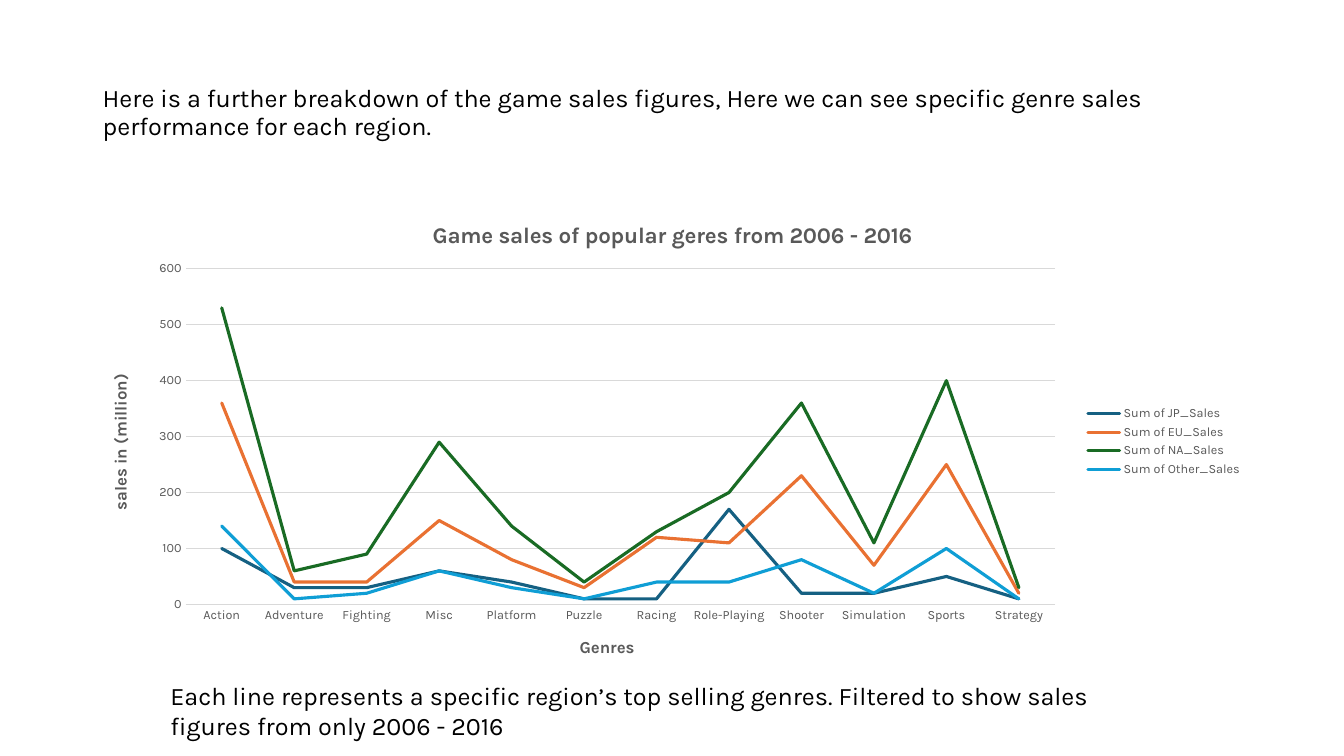
from dataclasses import dataclass

from lxml import etree
from pptx import Presentation
from pptx import util as u
from pptx.chart import data
from pptx.dml import color
from pptx.enum import chart as ec
from pptx.enum import text as et
from pptx.oxml import ns


@dataclass(frozen=True)
class Theme:
    font: str = "Karla"
    ink: str = "000000"
    gray: str = "595959"
    rule: str = "D9D9D9"
    body: float = 18
    title: float = 16
    axis: float = 12
    label: float = 9
    thin: float = 0.75
    thick: float = 2.25


@dataclass(frozen=True)
class Box:
    left: float
    top: float
    width: float
    height: float

    def emu(self) -> list:
        return [u.Inches(n) for n in (self.left, self.top, self.width, self.height)]


@dataclass(frozen=True)
class Region:
    name: str
    hue: str
    sales: tuple


THEME = Theme()
GENRES = ("Action", "Adventure", "Fighting", "Misc", "Platform", "Puzzle",
          "Racing", "Role-Playing", "Shooter", "Simulation", "Sports", "Strategy")
REGIONS = (
    Region("JP", "156082", (100, 30, 30, 60, 40, 10, 10, 170, 20, 20, 50, 10)),
    Region("EU", "E97132", (360, 40, 40, 150, 80, 30, 120, 110, 230, 70, 250, 20)),
    Region("NA", "196B24", (530, 60, 90, 290, 140, 40, 130, 200, 360, 110, 400, 30)),
    Region("Other", "0F9ED5", (140, 10, 20, 60, 30, 10, 40, 40, 80, 20, 100, 10)),
)
PLOT = {"x": 0.08, "y": 0.14, "w": 0.75, "h": 0.7}


def style(font, size: float, hue: str, bold: bool = False) -> None:
    font.name = THEME.font
    font.size = u.Pt(size)
    font.bold = bold
    font.color.rgb = color.RGBColor.from_string(hue)


def write(frame, words: str, *, size: float, hue: str, bold: bool = False,
          space: float | None = None) -> None:
    par = frame.paragraphs[0]
    par.line_spacing = space
    run = par.add_run()
    run.text = words
    style(run.font, size, hue, bold)


def stroke(line, hue: str, width: float) -> None:
    line.color.rgb = color.RGBColor.from_string(hue)
    line.width = u.Pt(width)


def note(slide, box: Box, words: str, anchor, space: float | None = None) -> None:
    frame = slide.shapes.add_textbox(*box.emu()).text_frame
    frame.word_wrap = True
    frame.vertical_anchor = anchor
    write(frame, words, size=THEME.body, hue=THEME.ink, space=space)


def place(chart) -> None:
    """Fix the inner plot area as fractions of the chart."""
    area = chart._chartSpace.find(".//" + ns.qn("c:plotArea"))
    for old in area.findall(ns.qn("c:layout")):
        area.remove(old)
    layout = etree.Element(ns.qn("c:layout"))
    area.insert(0, layout)
    manual = etree.SubElement(layout, ns.qn("c:manualLayout"))
    parts = {"layoutTarget": "inner", "xMode": "edge", "yMode": "edge", **PLOT}
    for key, val in parts.items():
        etree.SubElement(manual, ns.qn("c:" + key)).set("val", str(val))


def label(axis, words: str) -> None:
    write(axis.axis_title.text_frame, words, size=THEME.axis, hue=THEME.gray, bold=True)
    style(axis.tick_labels.font, THEME.label, THEME.gray)
    axis.major_tick_mark = axis.minor_tick_mark = ec.XL_TICK_MARK.NONE


def graph(slide, box: Box) -> None:
    table = data.CategoryChartData()
    table.categories = GENRES
    for reg in REGIONS:
        table.add_series(f"Sum of {reg.name}_Sales", reg.sales)
    chart = slide.shapes.add_chart(ec.XL_CHART_TYPE.LINE, *box.emu(), table).chart
    style(chart.font, THEME.label, THEME.gray)
    write(chart.chart_title.text_frame, "Game sales of popular geres from 2006 - 2016",
          size=THEME.title, hue=THEME.gray, bold=True)
    place(chart)

    # Axes and grid
    label(chart.category_axis, "Genres")
    stroke(chart.category_axis.format.line, THEME.rule, THEME.thin)
    scale = chart.value_axis
    label(scale, "sales in (million)")
    scale.minimum_scale, scale.maximum_scale, scale.major_unit = 0, 600, 100
    scale.format.line.fill.background()
    stroke(scale.major_gridlines.format.line, THEME.rule, THEME.thin)

    # Legend
    chart.has_legend = True
    chart.legend.position = ec.XL_LEGEND_POSITION.RIGHT
    chart.legend.include_in_layout = False
    style(chart.legend.font, THEME.label, THEME.gray)

    # Lines
    plot = chart.plots[0]
    plot.vary_by_categories = False
    for row, reg in zip(plot.series, REGIONS):
        row.smooth = False
        row.marker.style = ec.XL_MARKER_STYLE.NONE
        stroke(row.format.line, reg.hue, THEME.thick)
        row.format.line._get_or_add_ln().set("cap", "rnd")


def main() -> None:
    deck = Presentation()
    deck.slide_width, deck.slide_height = u.Inches(13.33), u.Inches(7.5)
    slide = deck.slides.add_slide(deck.slide_layouts[6])

    # Lead text
    note(slide, Box(0.92, 0.4, 11.5, 1.45),
         "Here is a further breakdown of the game sales figures, Here we can see "
         "specific genre sales performance for each region.",
         et.MSO_ANCHOR.MIDDLE, 0.9)

    # Sales by genre
    graph(slide, Box(0.92, 2, 11.5, 4.76))

    # Caption
    note(slide, Box(1.59, 6.7, 10.15, 0.71),
         "Each line represents a specific region’s top selling genres. Filtered to "
         "show sales figures from only 2006 - 2016", et.MSO_ANCHOR.TOP)

    deck.save("out.pptx")


if __name__ == "__main__":
    main()
